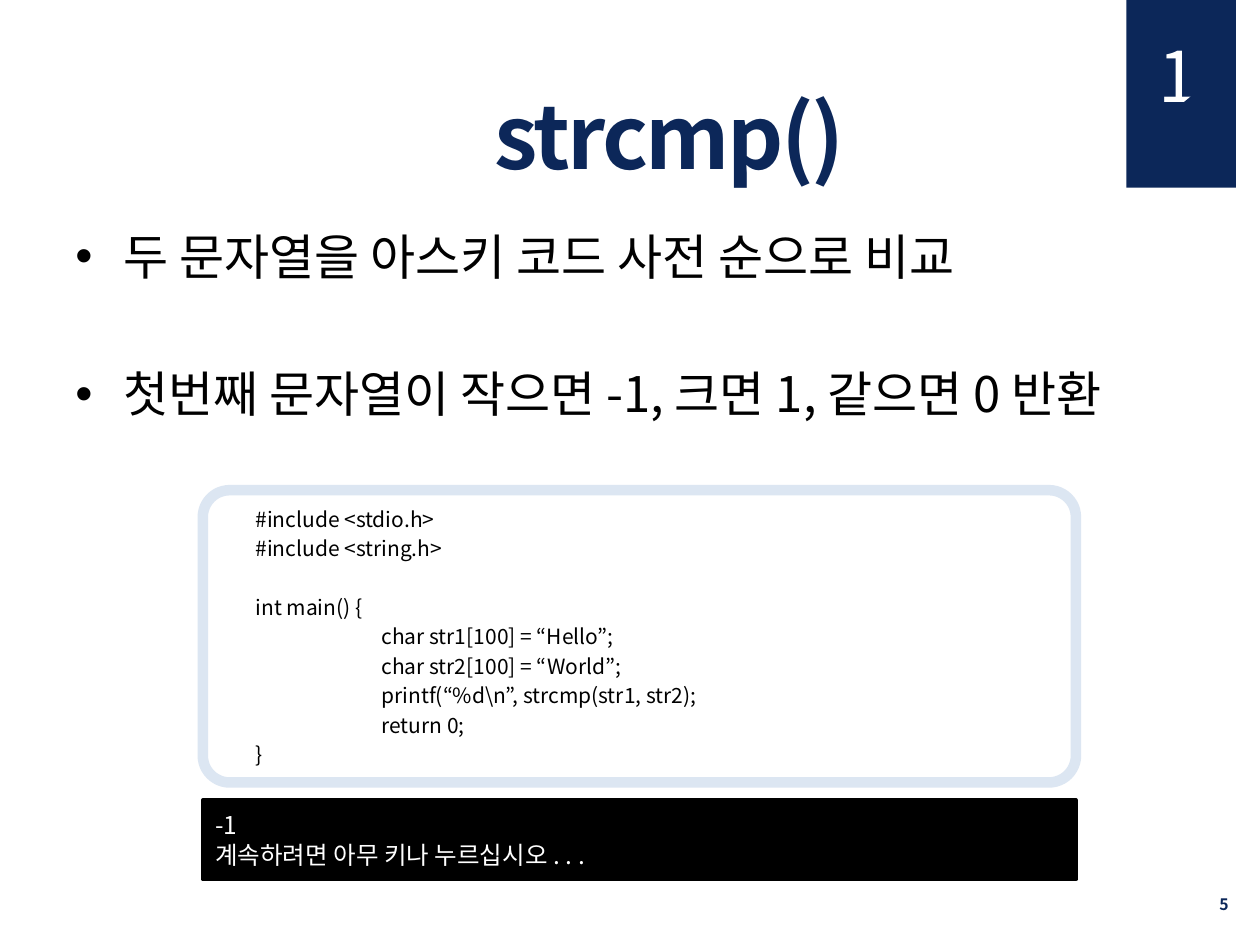
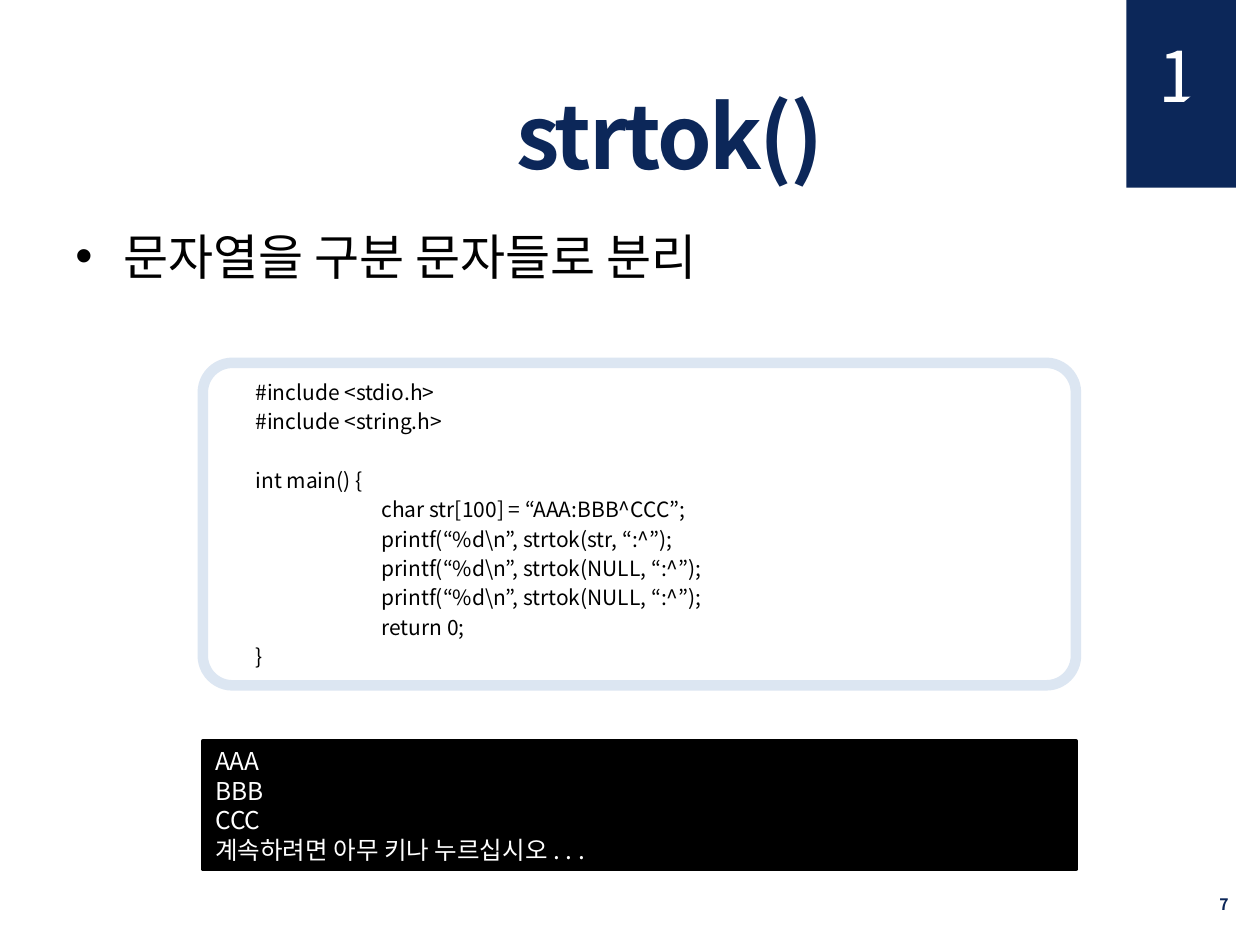
"""Build two slides that explain the C functions strcmp() and strtok()."""
from dataclasses import dataclass

from lxml import etree
from pptx import Presentation
from pptx import util as u
from pptx.dml.color import RGBColor
from pptx.enum import shapes, text
from pptx.oxml.ns import qn

FONT = "Noto Sans CJK KR"
NAVY, PALE, BLACK, WHITE = "0C2759", "DCE6F2", "000000", "FFFFFF"
LINE_HEIGHT = 1.2  # line pitch as a multiple of the text size
PARA_GAP = 0.2  # space before a paragraph, same unit
CODE_LEFT, CODE_WIDTH = 1.61, 6.93
HEADER = ["#include <stdio.h>", "#include <string.h>", "", "int main() {"]
FOOTER = ["\treturn 0;", "}"]
PROMPT = "계속하려면 아무 키나 누르십시오 . . ."


@dataclass
class Lesson:
    """Content of one slide and the places of its two boxes (top, height)."""
    number: str
    title: str
    bullets: list[str]
    body: list[str]
    output: list[str]
    code_box: tuple[float, float]
    console_box: tuple[float, float]


LESSONS = [
    Lesson("5", "strcmp()",
           ["두 문자열을 아스키 코드 사전 순으로 비교", "",
            "첫번째 문자열이 작으면 -1, 크면 1, 같으면 0 반환"],
           ["\tchar str1[100] = “Hello”;", "\tchar str2[100] = “World”;",
            "\tprintf(“%d\\n”, strcmp(str1, str2);"],
           ["-1"], (3.89, 2.32), (6.35, 0.63)),
    Lesson("7", "strtok()",
           ["문자열을 구분 문자들로 분리"],
           ["\tchar str[100] = “AAA:BBB^CCC”;",
            "\tprintf(“%d\\n”, strtok(str, “:^”);"]
           + ["\tprintf(“%d\\n”, strtok(NULL, “:^”);"] * 2,
           ["AAA", "BBB", "CCC"], (2.88, 2.56), (5.88, 1.02)),
]


def color(value: str) -> RGBColor:
    """Turn a hex string into a colour."""
    return RGBColor.from_string(value)


def add_bullet(p, indent: float = 0.38) -> None:
    """Give a paragraph a round bullet with a hanging indent."""
    pPr = p._p.get_or_add_pPr()
    pPr.set("marL", str(u.Inches(indent)))
    pPr.set("indent", str(-u.Inches(indent)))
    etree.SubElement(pPr, qn("a:buFont")).set("typeface", "Arial")
    etree.SubElement(pPr, qn("a:buChar")).set("char", "•")


def write(tf, lines: list[str], *, size: float, fill: str = BLACK,
          bold: bool = False, align=text.PP_ALIGN.LEFT,
          anchor=text.MSO_ANCHOR.TOP, gap: float = 0,
          bullet: bool = False, spacing: float = 0) -> None:
    """Write lines; an empty one becomes space, a leading tab an indent."""
    tf.word_wrap = True
    tf.vertical_anchor = anchor
    extra = 0.0
    p = None
    for line in lines:
        if not line:
            extra += LINE_HEIGHT + gap
            continue
        p = tf.paragraphs[0] if p is None else tf.add_paragraph()
        p.alignment = align
        p.line_spacing = u.Pt(size * LINE_HEIGHT)
        p.space_before = u.Pt(size * (gap + extra))
        extra = 0.0
        if bullet:
            add_bullet(p)
        elif line.startswith("\t"):
            p._p.get_or_add_pPr().set("marL", str(u.Inches(1)))
        r = p.add_run()
        r.text = line.strip()
        r.font.name, r.font.size, r.font.bold = FONT, u.Pt(size), bold
        r.font.color.rgb = color(fill)
        rPr = r._r.get_or_add_rPr()
        etree.SubElement(rPr, qn("a:ea")).set("typeface", FONT)
        if spacing:
            rPr.set("spc", str(round(spacing * 100)))


def add_text(s, box: tuple[float, ...], lines: list[str], **fmt) -> None:
    """Add a text box."""
    sp = s.shapes.add_textbox(*map(u.Inches, box))
    write(sp.text_frame, lines, **fmt)


def add_shape(s, kind, box: tuple[float, ...], *, fill: str | None = None,
              line: str | None = None, width: float = 0,
              adjust: float | None = None):
    """Add a flat preset shape."""
    sp = s.shapes.add_shape(kind, *map(u.Inches, box))
    sp.shadow.inherit = False
    if adjust is not None:
        sp.adjustments[0] = adjust
    if fill:
        sp.fill.solid()
        sp.fill.fore_color.rgb = color(fill)
    else:
        sp.fill.background()
    if line:
        sp.line.color.rgb = color(line)
        sp.line.width = u.Pt(width)
    else:
        sp.line.fill.background()
    return sp


def add_frame(s, lesson: Lesson) -> None:
    """Draw the page number, the title and the chapter ribbon."""
    kind = shapes.MSO_SHAPE
    add_text(s, (7.52, 6.98, 2.33, 0.4), [lesson.number], size=9, fill=NAVY,
             bold=True, align=text.PP_ALIGN.RIGHT,
             anchor=text.MSO_ANCHOR.MIDDLE)
    add_text(s, (2.32, 0.6, 5.99, 0.94), [lesson.title], size=50, fill=NAVY,
             bold=True, align=text.PP_ALIGN.CENTER, spacing=-1.5)
    add_shape(s, kind.RECTANGLE, (8.94, 0, 0.87, 1.49), fill=NAVY)
    add_text(s, (9.1, 0.21, 0.63, 0.77), ["1"], size=40, fill=WHITE)
    add_shape(s, kind.ISOSCELES_TRIANGLE, (9.18, 0.6, 0.47, 0.39),
              fill=NAVY, adjust=1)


def add_code(s, lesson: Lesson) -> None:
    """Draw the program listing in its rounded frame."""
    top, height = lesson.code_box
    add_shape(s, shapes.MSO_SHAPE.ROUNDED_RECTANGLE,
              (CODE_LEFT, top, CODE_WIDTH, height),
              line=PALE, width=6, adjust=0.092)
    add_text(s, (CODE_LEFT + 0.32, top + 0.08, CODE_WIDTH - 0.32,
                 height - 0.08),
             HEADER + lesson.body + FOOTER, size=12, gap=PARA_GAP)


def add_console(s, lesson: Lesson) -> None:
    """Draw the black console with the program's output."""
    top, height = lesson.console_box
    sp = add_shape(s, shapes.MSO_SHAPE.RECTANGLE,
                   (CODE_LEFT, top, CODE_WIDTH, height),
                   fill=BLACK, line=BLACK, width=2)
    write(sp.text_frame, lesson.output + [PROMPT], size=14, fill=WHITE,
          anchor=text.MSO_ANCHOR.MIDDLE)


def main() -> None:
    """Build and save the presentation."""
    prs = Presentation()
    prs.slide_width, prs.slide_height = u.Inches(10), u.Inches(7.5)
    for lesson in LESSONS:
        s = prs.slides.add_slide(prs.slide_layouts[6])
        add_frame(s, lesson)
        add_text(s, (0.5, 1.75, 9.3, 2.94), lesson.bullets, size=28,
                 gap=PARA_GAP, bullet=True)
        add_code(s, lesson)
        add_console(s, lesson)
    prs.save("out.pptx")


main()
